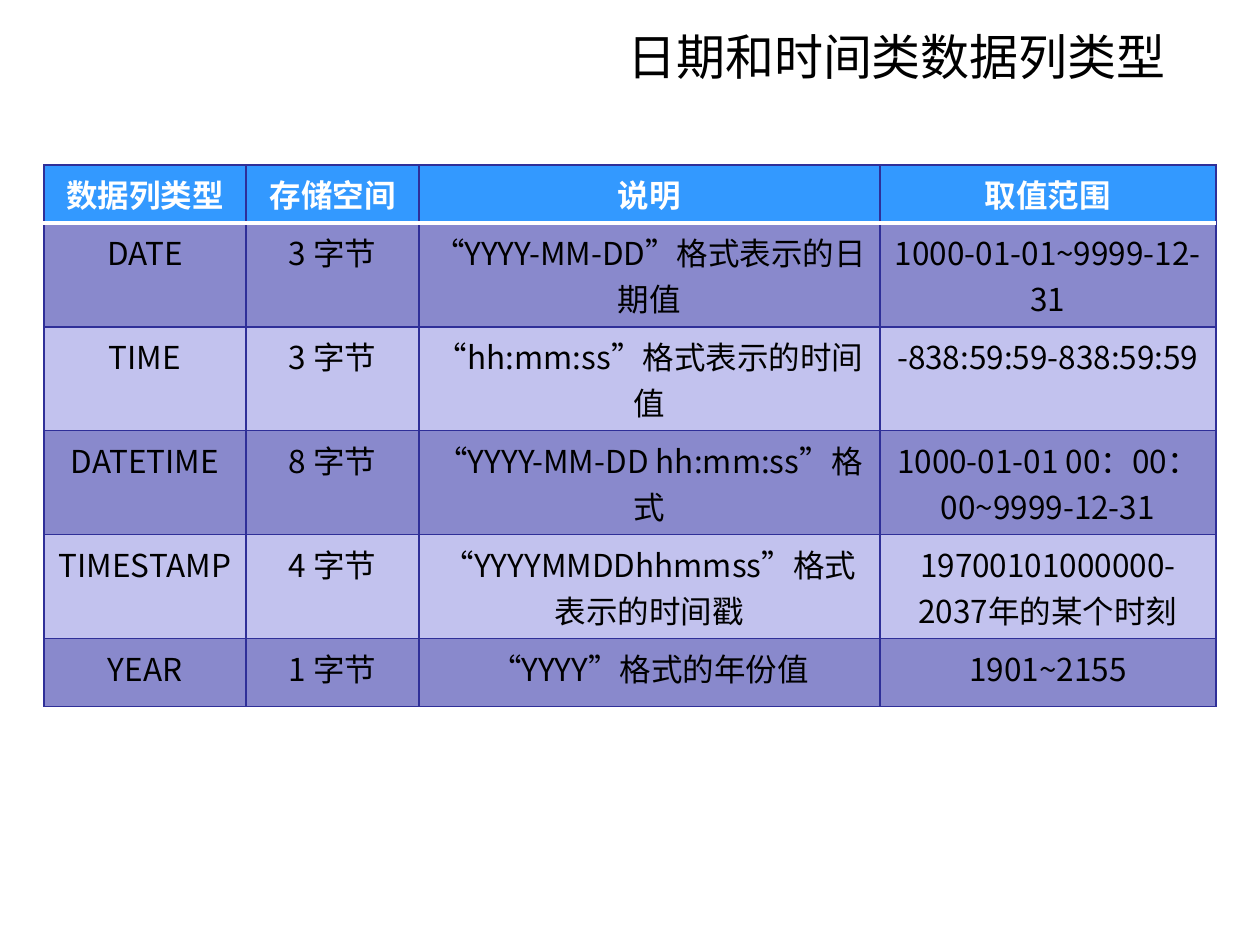
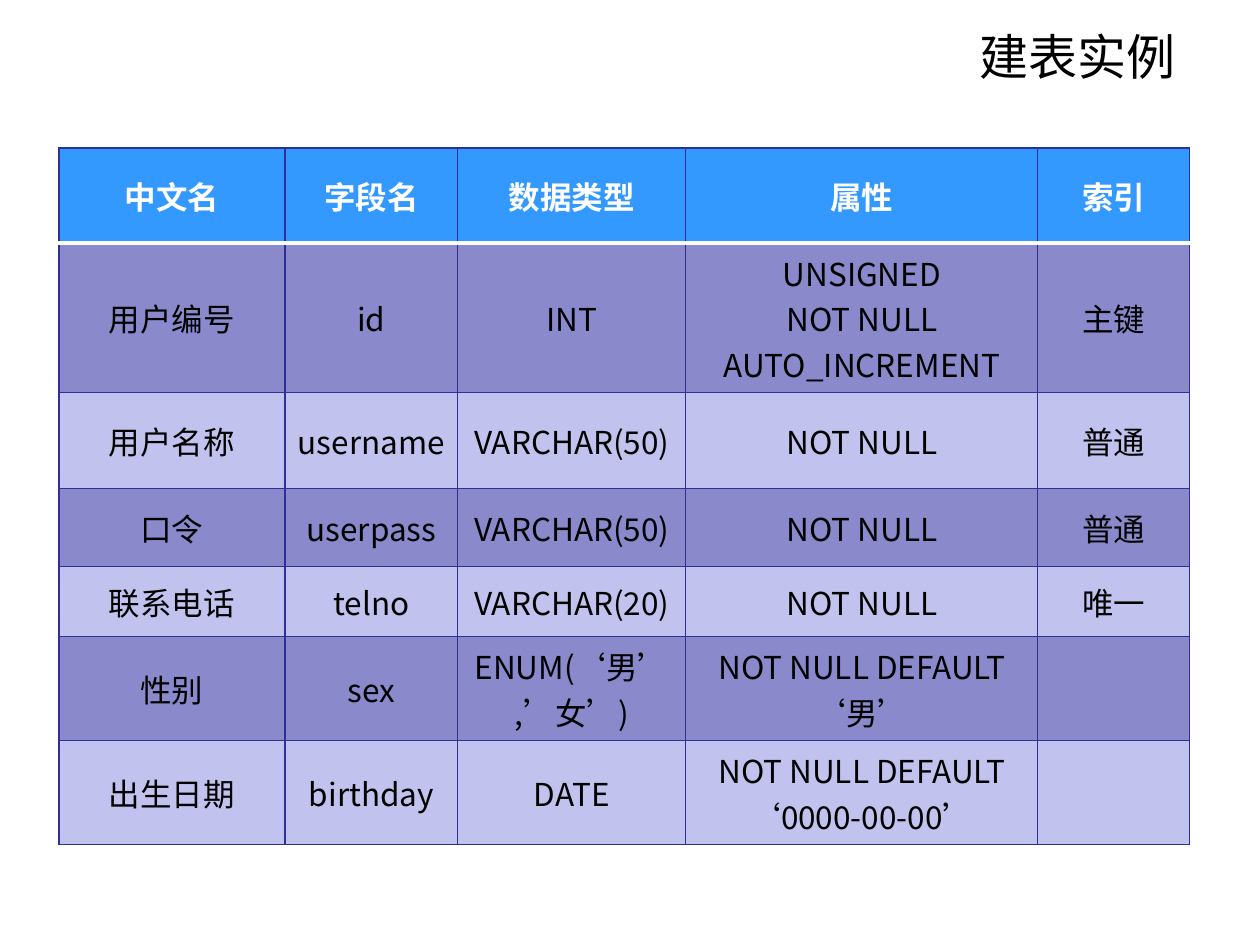
from lxml import etree
from pptx import Presentation
from pptx.dml.color import RGBColor
from pptx.enum.text import MSO_ANCHOR as ANCHOR, PP_ALIGN as ALIGN
from pptx.oxml.ns import qn
from pptx.util import Pt

PX = 914400 / 126
FONT = "Noto Sans CJK SC"
BLACK, WHITE = "000000", "FFFFFF"
HEADER, DARK, LIGHT, GRID = "3399FF", "8989CC", "C2C2EE", "2F2F98"


def emu(pixels):
    return round(pixels * PX)


def add_text(p, text, size, color, align, bold=False):
    p.alignment = align
    r = p.add_run()
    r.text = text
    r.font.size = Pt(size)
    r.font.bold = bold
    r.font.name = FONT
    r.font.color.rgb = RGBColor.from_string(color)
    etree.SubElement(r.font._element, qn("a:ea"), typeface=FONT)


slides = [
    {
        "title": "日期和时间类数据列类型",
        "title_left": 282,
        "origin": (44, 165),
        "anchor": ANCHOR.TOP,
        "cols": [202, 173, 461, 336],
        "heights": [58, 104, 104, 104, 104, 68],
        "rows": [
            ["数据列类型", "存储空间", "说明", "取值范围"],
            ["DATE", "3 字节", "“YYYY-MM-DD”格式表示的日期值", "1000-01-01~9999-12-31"],
            ["TIME", "3 字节", "“hh:mm:ss”格式表示的时间值", "-838:59:59-838:59:59"],
            ["DATETIME", "8 字节", "“YYYY-MM-DD hh:mm:ss”格式", "1000-01-01 00：00：00~9999-12-31"],
            ["TIMESTAMP", "4 字节", "“YYYYMMDDhhmmss”格式表示的时间戳", "19700101000000-2037年的某个时刻"],
            ["YEAR", "1 字节", "“YYYY”格式的年份值", "1901~2155"],
        ],
    },
    {
        "title": "建表实例",
        "title_left": 292,
        "origin": (59, 148),
        "anchor": ANCHOR.MIDDLE,
        "cols": [226, 173, 228, 352, 152],
        "heights": [95, 150, 96, 78, 70, 104, 104],
        "rows": [
            ["中文名", "字段名", "数据类型", "属性", "索引"],
            ["用户编号", "id", "INT", "UNSIGNED\nNOT NULL\nAUTO_INCREMENT", "主键"],
            ["用户名称", "username", "VARCHAR(50)", "NOT NULL", "普通"],
            ["口令", "userpass", "VARCHAR(50)", "NOT NULL", "普通"],
            ["联系电话", "telno", "VARCHAR(20)", "NOT NULL", "唯一"],
            ["性别", "sex", "ENUM(‘男’,’女’)", "NOT NULL DEFAULT ‘男’", ""],
            ["出生日期", "birthday", "DATE", "NOT NULL DEFAULT ‘0000-00-00’", ""],
        ],
    },
]

prs = Presentation()
prs.slide_width, prs.slide_height = emu(1260), emu(945)

for page in slides:
    s = prs.slides.add_slide(prs.slide_layouts[6])
    title = s.shapes.add_textbox(emu(page["title_left"]), emu(17), emu(896), emu(78))
    tf = title.text_frame
    tf.word_wrap = True
    tf.vertical_anchor = ANCHOR.MIDDLE
    add_text(tf.paragraphs[0], page["title"], 28, BLACK, ALIGN.RIGHT)

    left, top = page["origin"]
    cols, heights, rows = page["cols"], page["heights"], page["rows"]
    table = s.shapes.add_table(len(rows), len(cols), emu(left), emu(top),
                               emu(sum(cols)), emu(sum(heights))).table
    for column, width in zip(table.columns, cols):
        column.width = emu(width)
    for row, height in zip(table.rows, heights):
        row.height = emu(height)

    for i, texts in enumerate(rows):
        is_header = i == 0
        for j, text in enumerate(texts):
            cell = table.cell(i, j)
            cell.vertical_anchor = page["anchor"]
            tcPr = cell._tc.get_or_add_tcPr()
            for side in "LRTB":
                under_header = (i, side) in [(0, "B"), (1, "T")]
                ln = etree.SubElement(tcPr, qn("a:ln" + side),
                                      w=str(Pt(2) if under_header else Pt(0.75)))
                line_fill = etree.SubElement(ln, qn("a:solidFill"))
                etree.SubElement(line_fill, qn("a:srgbClr"),
                                 val=WHITE if under_header else GRID)
            cell.fill.solid()
            color = HEADER if is_header else DARK if i % 2 else LIGHT
            cell.fill.fore_color.rgb = RGBColor.from_string(color)
            if not text:
                continue
            tf = cell.text_frame
            for k, line in enumerate(text.split("\n")):
                p = tf.add_paragraph() if k else tf.paragraphs[0]
                add_text(p, line, 18, WHITE if is_header else BLACK, ALIGN.CENTER, is_header)

prs.save("out.pptx")
